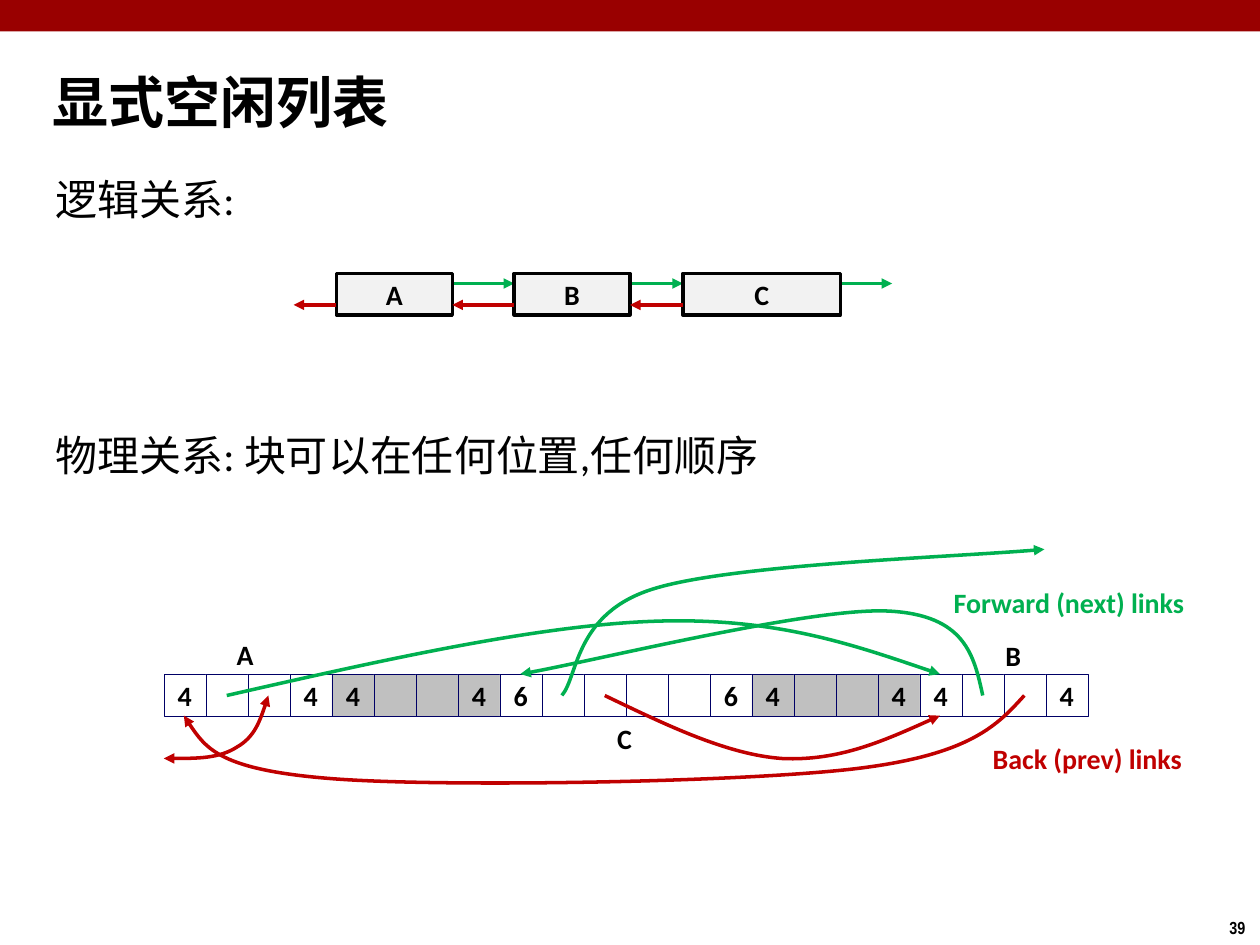
from pptx import Presentation
from pptx.dml.color import RGBColor
from pptx.enum.shapes import MSO_CONNECTOR, MSO_SHAPE
from pptx.enum.text import MSO_ANCHOR, PP_ALIGN
from pptx.oxml.ns import qn
from pptx.util import Inches, Pt
from lxml.etree import SubElement

BLACK = RGBColor(0x00, 0x00, 0x00)
WHITE = RGBColor(0xFF, 0xFF, 0xFF)
BANNER = RGBColor(0x99, 0x00, 0x00)
LIGHT = RGBColor(0xF2, 0xF2, 0xF2)
GREY = RGBColor(0xC0, 0xC0, 0xC0)
NAVY = RGBColor(0x00, 0x00, 0x66)
GREEN = RGBColor(0x00, 0xB0, 0x50)
RED = RGBColor(0xC0, 0x00, 0x00)

LINK_WIDTH = 2
CELL = 1 / 3


def write(frame, text, size=16, color=BLACK, bold=True, font="Calibri",
          align=PP_ALIGN.LEFT, spacing=None):
    paragraph = frame.paragraphs[0]
    paragraph.alignment = align
    paragraph.line_spacing = spacing
    run = paragraph.add_run()
    run.text = text
    run.font.size = Pt(size)
    run.font.name = font
    run.font.bold = bold
    run.font.color.rgb = color


def add_text(slide, box, text, wrap=False, anchor=MSO_ANCHOR.TOP, **style):
    frame = slide.shapes.add_textbox(*map(Inches, box)).text_frame
    frame.word_wrap = wrap
    frame.vertical_anchor = anchor
    write(frame, text, **style)


def add_box(slide, box, fill, line=None, width=0, text=""):
    shape = slide.shapes.add_shape(MSO_SHAPE.RECTANGLE, *map(Inches, box))
    shape.shadow.inherit = False
    shape.fill.solid()
    shape.fill.fore_color.rgb = fill
    if line is None:
        shape.line.fill.background()
    else:
        shape.line.color.rgb = line
        shape.line.width = Pt(width)
    if text:
        shape.text_frame.word_wrap = False
        shape.text_frame.vertical_anchor = MSO_ANCHOR.MIDDLE
        write(shape.text_frame, text, align=PP_ALIGN.CENTER)


def style_link(shape, color, both_ends=False):
    shape.line.color.rgb = color
    shape.line.width = Pt(LINK_WIDTH)
    outline = shape.element.spPr.find(qn("a:ln"))
    for end in ("a:headEnd", "a:tailEnd") if both_ends else ("a:tailEnd",):
        SubElement(outline, qn(end), type="triangle")


def add_arrow(slide, x1, x2, y, color):
    arrow = slide.shapes.add_connector(
        MSO_CONNECTOR.STRAIGHT, Inches(x1), Inches(y), Inches(x2), Inches(y))
    style_link(arrow, color)
    SubElement(arrow.element.spPr, qn("a:effectLst"))


def add_curve(slide, points, color, both_ends=False):
    """Cubic curve: a start point, then two handles and an end per section."""
    start, *rest = [(Inches(x), Inches(y)) for x, y in points]
    builder = slide.shapes.build_freeform(*start)
    builder.add_line_segments(rest, close=False)
    curve = builder.convert_to_shape()
    outline = curve.element.spPr.find(".//" + qn("a:path"))
    segments = outline.findall(qn("a:lnTo"))
    for first in range(0, len(segments), 3):
        section = SubElement(outline, qn("a:cubicBezTo"))
        for segment in segments[first:first + 3]:
            section.append(segment[0])
            outline.remove(segment)
    curve.shadow.inherit = False
    curve.fill.background()
    style_link(curve, color, both_ends)


def add_frame(slide, width, height):
    add_box(slide, (0, 0, width, 0.25), BANNER)
    add_text(slide, (width - 0.34, height - 0.27, 0.34, 0.27), "39",
             size=10, font="Arial Narrow")
    add_text(slide, (0.32, 0.53, 6.64, 0.63), "显式空闲列表", wrap=True,
             anchor=MSO_ANCHOR.MIDDLE, size=32, spacing=0.87)


def add_logical_list(slide, left, top):
    height = 0.33
    next_y, prev_y = top + 0.08, top + 0.25
    blocks = [("A", 0, 0.92), ("B", 1.41, 0.92), ("C", 2.75, 1.25)]
    starts = [left + offset for _, offset, _ in blocks]
    ends = [left + offset + width for _, offset, width in blocks]
    for end, target in zip(ends, starts[1:] + [ends[-1] + 0.41]):
        add_arrow(slide, end, target, next_y, GREEN)
    for name, offset, width in blocks:
        add_box(slide, (left + offset, top, width, height),
                LIGHT, BLACK, LINK_WIDTH, name)
    for start, target in zip(starts, [left - 0.34] + ends[:-1]):
        add_arrow(slide, start, target, prev_y, RED)


def add_heap(slide, left, top):
    # Each block carries its size in its first and last cell
    column = 0
    for size, fill in [(4, WHITE), (4, GREY), (6, WHITE), (4, GREY), (4, WHITE)]:
        for index in range(size):
            text = str(size) if index in (0, size - 1) else ""
            add_box(slide, (left + column * CELL, top, CELL, CELL),
                    fill, NAVY, 0.25, text)
            column += 1

    # Links between the free blocks
    links = [
        (GREEN, [(0.5, 0.17), (1.73, -0.11), (2.97, -0.39), (3.91, -0.42),
                 (4.86, -0.45), (5.51, -0.22), (6.16, 0)]),
        (GREEN, [(6.5, 0.17), (6.43, -0.15), (6.36, -0.47), (5.75, -0.5),
                 (5.14, -0.53), (3.32, -0.08), (2.83, 0)]),
        (GREEN, [(3.16, 0.17), (3.29, 0.02), (3.26, -0.49), (3.9, -0.68),
                 (4.53, -0.87), (6.34, -0.93), (6.99, -0.99)]),
        (RED, [(6.83, 0.17), (6.62, 0.4), (6.41, 0.64), (5.5, 0.75),
               (4.58, 0.86), (2.22, 0.9), (1.33, 0.83),
               (0.44, 0.76), (0.3, 0.55), (0.16, 0.33)]),
        (RED, [(3.5, 0.17), (3.98, 0.4), (4.47, 0.64), (4.91, 0.67),
               (5.36, 0.69), (5.76, 0.51), (6.16, 0.33)]),
        (RED, [(0.83, 0.17), (0.78, 0.33), (0.72, 0.5), (0.58, 0.58),
               (0.44, 0.67), (0.22, 0.67), (0, 0.67)]),
    ]
    for number, (color, points) in enumerate(links, 1):
        add_curve(slide, [(left + x, top + y) for x, y in points], color,
                  both_ends=number == len(links))

    # Block names and link legends
    for text, x, y, width, color in [
        ("A", 0.48, -0.34, 0.34, BLACK),
        ("B", 6.58, -0.33, 0.32, BLACK),
        ("C", 3.5, 0.33, 0.32, BLACK),
        ("Forward (next) links", 6.17, -0.75, 2.05, GREEN),
        ("Back (prev) links", 6.48, 0.49, 1.72, RED),
    ]:
        add_text(slide, (left + x, top + y, width, 0.37), text, color=color)


presentation = Presentation()
presentation.slide_width = Inches(10)
presentation.slide_height = Inches(7.5)
slide = presentation.slides.add_slide(presentation.slide_layouts[6])

add_frame(slide, 10, 7.5)
for heading, heading_top in [("逻辑关系:", 1.39),
                             ("物理关系: 块可以在任何位置,任何顺序".replace(",", ","), 3.42)]:
    add_text(slide, (0.34, heading_top, 9.09, 0.5), heading, wrap=True,
             size=24, bold=False, spacing=0.85)
add_logical_list(slide, 2.67, 2.17)
add_heap(slide, 1.3, 5.35)

presentation.save("out.pptx")
